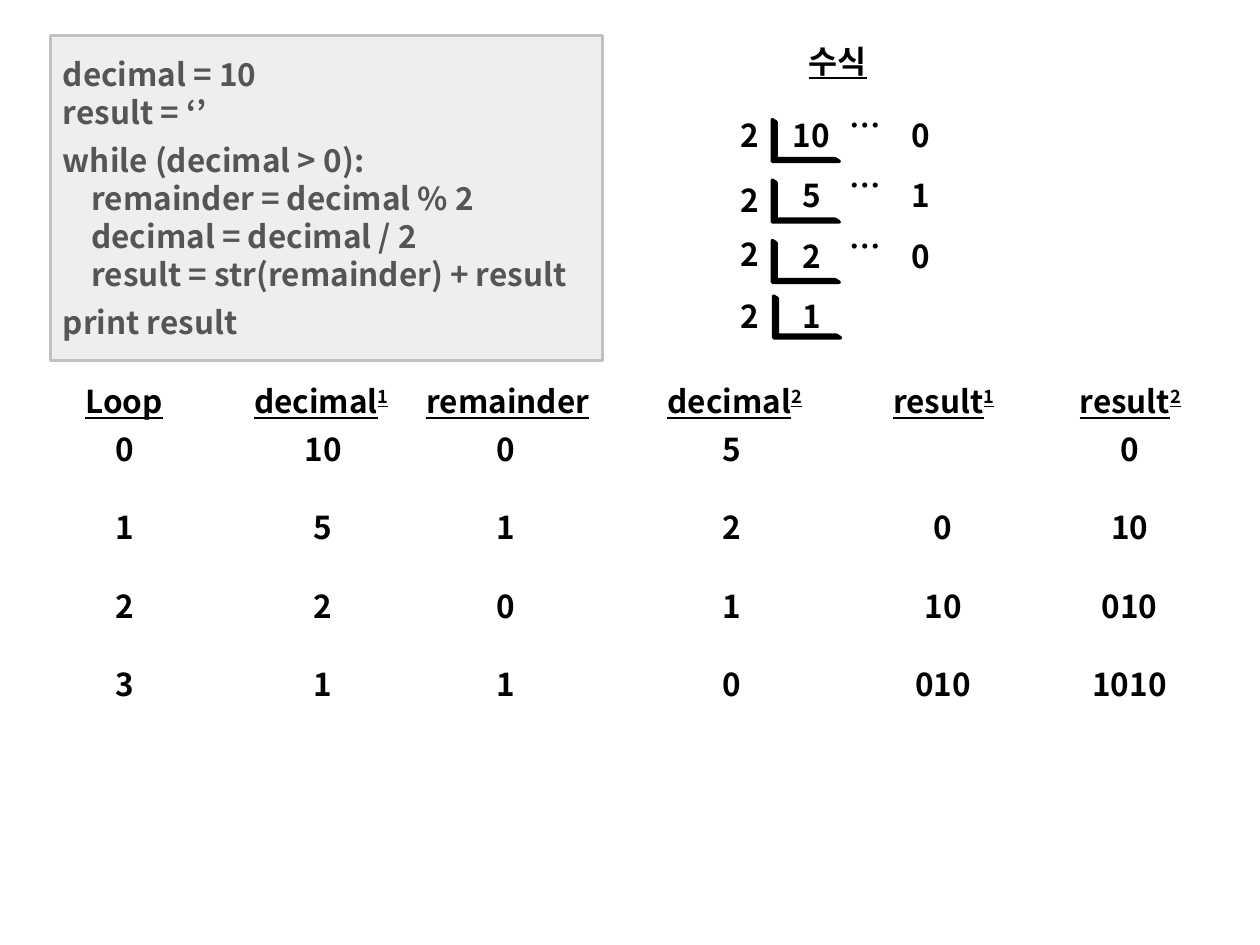
from dataclasses import dataclass

import pptx
import pptx.dml.color
import pptx.enum.shapes
import pptx.enum.text
import pptx.oxml
import pptx.oxml.ns
import pptx.slide
import pptx.text.text
import pptx.util

Pt = pptx.util.Pt
Align = pptx.enum.text.PP_ALIGN
Shape = pptx.enum.shapes.MSO_SHAPE
RGBColor = pptx.dml.color.RGBColor

BLACK = RGBColor(0x00, 0x00, 0x00)
CODE_TEXT = RGBColor(0x55, 0x55, 0x55)
CODE_FILL = RGBColor(0xEE, 0xEE, 0xEE)
CODE_BORDER = RGBColor(0xC1, 0xC1, 0xC1)
FONT = "Noto Sans CJK KR"
TEXT_HEIGHT = 28.8


@dataclass(frozen=True)
class CodeLine:
    text: str
    space_after: float = 0


@dataclass(frozen=True)
class DivisionStep:
    dividend: str
    remainder: str
    divisor_top: float
    bracket_left: float
    bracket_top: float


@dataclass(frozen=True)
class TraceColumn:
    heading: str
    superscript: str
    heading_left: float
    heading_width: float
    value_left: float
    value_width: float
    values: tuple[str, ...]


CODE = (
    CodeLine("decimal = 10"),
    CodeLine("result = ‘’", 6),
    CodeLine("while (decimal > 0):"),
    CodeLine("    remainder = decimal % 2"),
    CodeLine("    decimal = decimal / 2"),
    CodeLine("    result = str(remainder) + result", 6),
    CodeLine("print result"),
)

DIVISION_TOP, DIVISION_PITCH = 62.6, 34.56
DIVISION = (
    DivisionStep("10", "0", 62.6, 441.4, 68.4),
    DivisionStep("5", "1", 100.1, 441.4, 103),
    DivisionStep("2", "0", 131, 441.4, 137.5),
    DivisionStep("1", "", 166.3, 442.1, 169.2),
)

HEADING_TOP = 214.6
TRACE_TOP, TRACE_PITCH = 242, 44.85
TRACE = (
    TraceColumn("Loop", "", 28.8, 84.2, 52.6, 37.4, ("0", "1", "2", "3")),
    TraceColumn("decimal", "1", 130.3, 106.6, 146.9, 75.6, ("10", "5", "2", "1")),
    TraceColumn("remainder", "", 236.2, 108, 251.3, 75.6, ("0", "1", "0", "1")),
    TraceColumn("decimal", "2", 366.5, 106.6, 380.2, 75.6, ("5", "2", "1", "0")),
    TraceColumn("result", "1", 486, 106.6, 501.1, 75.6, ("", "0", "10", "010")),
    TraceColumn("result", "2", 592.6, 106.6, 607.7, 75.6, ("0", "10", "010", "1010")),
)


def add_run(paragraph: pptx.text.text._Paragraph, text: str, color: RGBColor = BLACK,
            underline: bool = False, superscript: bool = False) -> None:
    run = paragraph.add_run()
    run.text = text
    font = run.font
    font.size = Pt(18)
    font.bold = True
    font.color.rgb = color
    font.name = FONT
    if underline:
        font.underline = True
    properties = run._r.get_or_add_rPr()
    if superscript:
        properties.set("baseline", "30000")
    east_asian = pptx.oxml.parse_xml(f'<a:ea {pptx.oxml.ns.nsdecls("a")} typeface="{FONT}"/>')
    properties.append(east_asian)


def add_label(slide: pptx.slide.Slide, text: str, left: float, top: float, width: float,
              align: Align = Align.CENTER, underline: bool = False,
              superscript: str = "") -> None:
    label = slide.shapes.add_textbox(Pt(left), Pt(top), Pt(width), Pt(TEXT_HEIGHT))
    frame = label.text_frame
    frame.word_wrap = True
    frame.auto_size = pptx.enum.text.MSO_AUTO_SIZE.SHAPE_TO_FIT_TEXT
    paragraph = frame.paragraphs[0]
    paragraph.alignment = align
    add_run(paragraph, text, underline=underline)
    if superscript:
        add_run(paragraph, superscript, underline=underline, superscript=True)


def add_panel(slide: pptx.slide.Slide, kind: Shape, left: float, top: float, width: float,
              height: float, fill: RGBColor, border: RGBColor):
    """Add a preset shape with a solid fill and a 2 pt border."""
    panel = slide.shapes.add_shape(kind, Pt(left), Pt(top), Pt(width), Pt(height))
    panel.shadow.inherit = False
    panel.fill.solid()
    panel.fill.fore_color.rgb = fill
    panel.line.color.rgb = border
    panel.line.width = Pt(2)
    return panel


def add_code(slide: pptx.slide.Slide) -> None:
    listing = add_panel(slide, Shape.RECTANGLE, 28.8, 20.2, 315.4, 185.8,
                        CODE_FILL, CODE_BORDER)
    frame = listing.text_frame
    frame.word_wrap = True
    frame.vertical_anchor = pptx.enum.text.MSO_ANCHOR.MIDDLE
    for index, line in enumerate(CODE):
        paragraph = frame.add_paragraph() if index else frame.paragraphs[0]
        paragraph.alignment = Align.LEFT
        paragraph.space_after = Pt(line.space_after)
        add_run(paragraph, line.text, CODE_TEXT)


def add_division_bracket(slide: pptx.slide.Slide, left: float, top: float) -> None:
    bracket = add_panel(slide, Shape.HALF_FRAME, left, top, 38.2, 23.8, BLACK, BLACK)
    bracket.adjustments[0] = 0.065
    bracket.adjustments[1] = 0.089
    bracket.rotation = 180
    bracket._element.spPr.find(pptx.oxml.ns.qn("a:xfrm")).set("flipH", "1")


def add_division(slide: pptx.slide.Slide) -> None:
    add_label(slide, "수식", 435.6, 20.2, 86.4, underline=True)
    for index, step in enumerate(DIVISION):
        top = DIVISION_TOP + index * DIVISION_PITCH
        add_division_bracket(slide, step.bracket_left, step.bracket_top)
        add_label(slide, "2", 406.1, step.divisor_top, 44.6)
        add_label(slide, step.dividend, 441.4, top, 44.6)
        if step.remainder:
            add_label(slide, "…", 478.1, top - 5.7, 36.7, Align.LEFT)
            add_label(slide, step.remainder, 504, top, 44.6)


def add_trace(slide: pptx.slide.Slide) -> None:
    """Add the variable values for each pass of the loop."""
    for column in TRACE:
        add_label(slide, column.heading, column.heading_left, HEADING_TOP,
                  column.heading_width, underline=True, superscript=column.superscript)
        for index, value in enumerate(column.values):
            if value:
                add_label(slide, value, column.value_left,
                          TRACE_TOP + index * TRACE_PITCH, column.value_width)


def main() -> None:
    presentation = pptx.Presentation()
    presentation.slide_width = Pt(720)
    presentation.slide_height = Pt(540)
    slide = presentation.slides.add_slide(presentation.slide_layouts[6])
    add_code(slide)
    add_division(slide)
    add_trace(slide)
    presentation.save("out.pptx")


if __name__ == "__main__":
    main()
